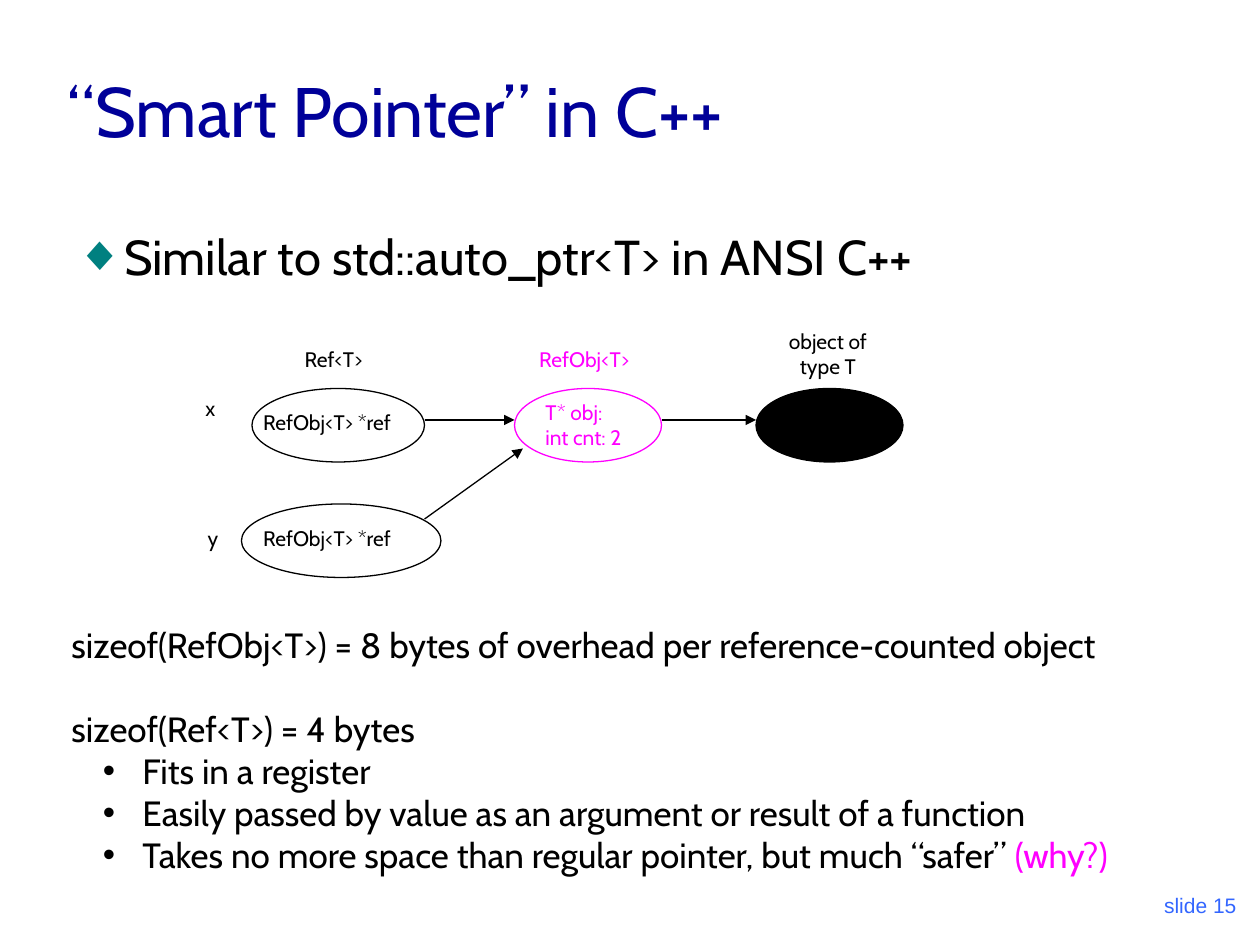
"""Build the slide on reference-counted smart pointers in C++."""
from dataclasses import dataclass
from typing import Optional

import lxml.etree
import pptx
import pptx.dml.color
import pptx.enum.shapes
import pptx.enum.text
import pptx.oxml.ns
import pptx.util

Pt = pptx.util.Pt
ALIGN = pptx.enum.text.PP_ALIGN
ANCHOR = pptx.enum.text.MSO_ANCHOR
COLORS = {
    "black": "000000",
    "magenta": "FF00FF",
    "navy": "000099",
    "teal": "008080",
    "blue": "3366FF",
}
NODE_TOP, NODE_HEIGHT = 222, 42
LABEL_HEIGHT, PAIR_HEIGHT = 21.6, 36


@dataclass
class Run:
    text: str
    color: str = "black"


@dataclass
class Bullet:
    character: str
    color: str
    margin: float
    hanging: float


@dataclass
class Line:
    runs: list[Run]
    bullet: Optional[Bullet] = None
    space_before: float = 0


@dataclass
class TextBlock:
    left: float
    top: float
    width: float
    height: float
    lines: list[Line]
    size: float = 12
    font: str = "Cabin"
    align: ALIGN = ALIGN.LEFT
    anchor: ANCHOR = ANCHOR.TOP
    wrap: bool = False


@dataclass
class Node:
    left: float
    width: float
    top: float = NODE_TOP
    color: str = "black"
    filled: bool = False


@dataclass
class Arrow:
    start: tuple[float, float]
    end: tuple[float, float]


def rgb(name: str) -> pptx.dml.color.RGBColor:
    return pptx.dml.color.RGBColor.from_string(COLORS[name])


def add_element(parent, tag: str, **attributes: str):
    return lxml.etree.SubElement(parent, pptx.oxml.ns.qn(tag), **attributes)


def add_bullet(paragraph, bullet: Bullet) -> None:
    properties = paragraph._p.get_or_add_pPr()
    properties.set("marL", str(Pt(bullet.margin)))
    properties.set("indent", str(-Pt(bullet.hanging)))
    color = add_element(properties, "a:buClr")
    add_element(color, "a:srgbClr", val=COLORS[bullet.color])
    add_element(properties, "a:buFont", typeface="Arial")
    add_element(properties, "a:buChar", char=bullet.character)


def add_text(slide, block: TextBlock) -> None:
    shape = slide.shapes.add_textbox(
        Pt(block.left), Pt(block.top), Pt(block.width), Pt(block.height)
    )
    frame = shape.text_frame
    frame.word_wrap = block.wrap
    frame.vertical_anchor = block.anchor
    for index, line in enumerate(block.lines):
        paragraph = frame.add_paragraph() if index else frame.paragraphs[0]
        paragraph.alignment = block.align
        paragraph.space_before = Pt(line.space_before)
        if line.bullet:
            add_bullet(paragraph, line.bullet)
        for piece in line.runs:
            run = paragraph.add_run()
            run.text = piece.text
            run.font.name = block.font
            run.font.size = Pt(block.size)
            run.font.color.rgb = rgb(piece.color)


def add_node(slide, node: Node) -> None:
    shape = slide.shapes.add_shape(
        pptx.enum.shapes.MSO_SHAPE.OVAL,
        Pt(node.left), Pt(node.top), Pt(node.width), Pt(NODE_HEIGHT),
    )
    shape.shadow.inherit = False
    if node.filled:
        shape.fill.solid()
        shape.fill.fore_color.rgb = rgb(node.color)
    else:
        shape.fill.background()
    shape.line.color.rgb = rgb(node.color)
    shape.line.width = Pt(0.75)


def add_arrow(slide, arrow: Arrow) -> None:
    connector = slide.shapes.add_connector(
        pptx.enum.shapes.MSO_CONNECTOR.STRAIGHT,
        *(Pt(value) for value in arrow.start + arrow.end),
    )
    connector.line.color.rgb = rgb("black")
    connector.line.width = Pt(0.75)
    add_element(connector.line._get_or_add_ln(), "a:tailEnd", type="triangle")
    add_element(connector._element.spPr, "a:effectLst")


def label(left: float, top: float, width: float, *texts: str,
          color: str = "black", align: ALIGN = ALIGN.LEFT) -> TextBlock:
    height = PAIR_HEIGHT if len(texts) > 1 else LABEL_HEIGHT
    lines = [Line([Run(text, color)]) for text in texts]
    return TextBlock(left, top, width, height, lines, align=align)


DIAMOND = Bullet("◆", "teal", 27, 27)
DOT = Bullet("•", "black", 40.5, 22.5)

NODES = [
    Node(144, 98.6),
    Node(138, 114, top=288),
    Node(432 - 138, 84, color="magenta"),
    Node(432, 84, filled=True),
]
NODES[2].left = 294

ARROWS = [
    Arrow((242.6, 240), (294, 240)),
    Arrow((378, 240), (432, 240)),
    Arrow((242.6, 296.6), (298.8, 256.3)),
]

LABELS = [
    label(167, 194.4, 53.3, "Ref<T>"),
    label(301, 194.4, 72.7, "RefObj<T>", color="magenta"),
    label(441.4, 184.3, 63.4, "object of", "type T", align=ALIGN.CENTER),
    label(110.2, 222.5, 20.9, "x"),
    label(111.6, 296.6, 20.2, "y"),
    label(143.3, 230.4, 98.6, "RefObj<T> *ref"),
    label(143.3, 296.6, 98.6, "RefObj<T> *ref"),
    label(304.6, 224.6, 62.6, "T* obj:", "int cnt: 2", color="magenta"),
]

TITLE = TextBlock(31.7, 18, 612, 72, [Line([Run("“Smart Pointer” in C++", "navy")])],
                  size=40, anchor=ANCHOR.BOTTOM, wrap=True)
HEADLINE = TextBlock(36, 126, 643.7, 59.8,
                     [Line([Run("Similar to std::auto_ptr<T> in ANSI C++")], DIAMOND)],
                     size=28, wrap=True)
SIZES = TextBlock(33.8, 352.8, 673.9, 175.7, [
    Line([Run("sizeof(RefObj<T>) = 8 bytes of overhead per reference-counted object")]),
    Line([Run("sizeof(Ref<T>) = 4 bytes")], space_before=24),
    Line([Run("Fits in a register")], DOT),
    Line([Run("Easily passed by value as an argument or result of a function")], DOT),
    Line([Run("Takes no more space than regular pointer, but much “safer” "),
          Run("(why?)", "magenta")], DOT),
], size=20, wrap=True)
SLIDE_NUMBER = TextBlock(563.8, 491.8, 149.8, 36, [Line([Run("slide 15", "blue")])],
                         font="Arial", align=ALIGN.RIGHT, anchor=ANCHOR.BOTTOM, wrap=True)


def main() -> None:
    presentation = pptx.Presentation()
    presentation.slide_width, presentation.slide_height = Pt(720), Pt(540)
    slide = presentation.slides.add_slide(presentation.slide_layouts[6])
    for node in NODES:
        add_node(slide, node)
    for arrow in ARROWS:
        add_arrow(slide, arrow)
    for block in [TITLE, HEADLINE, *LABELS, SIZES, SLIDE_NUMBER]:
        add_text(slide, block)
    presentation.save("out.pptx")


if __name__ == "__main__":
    main()
